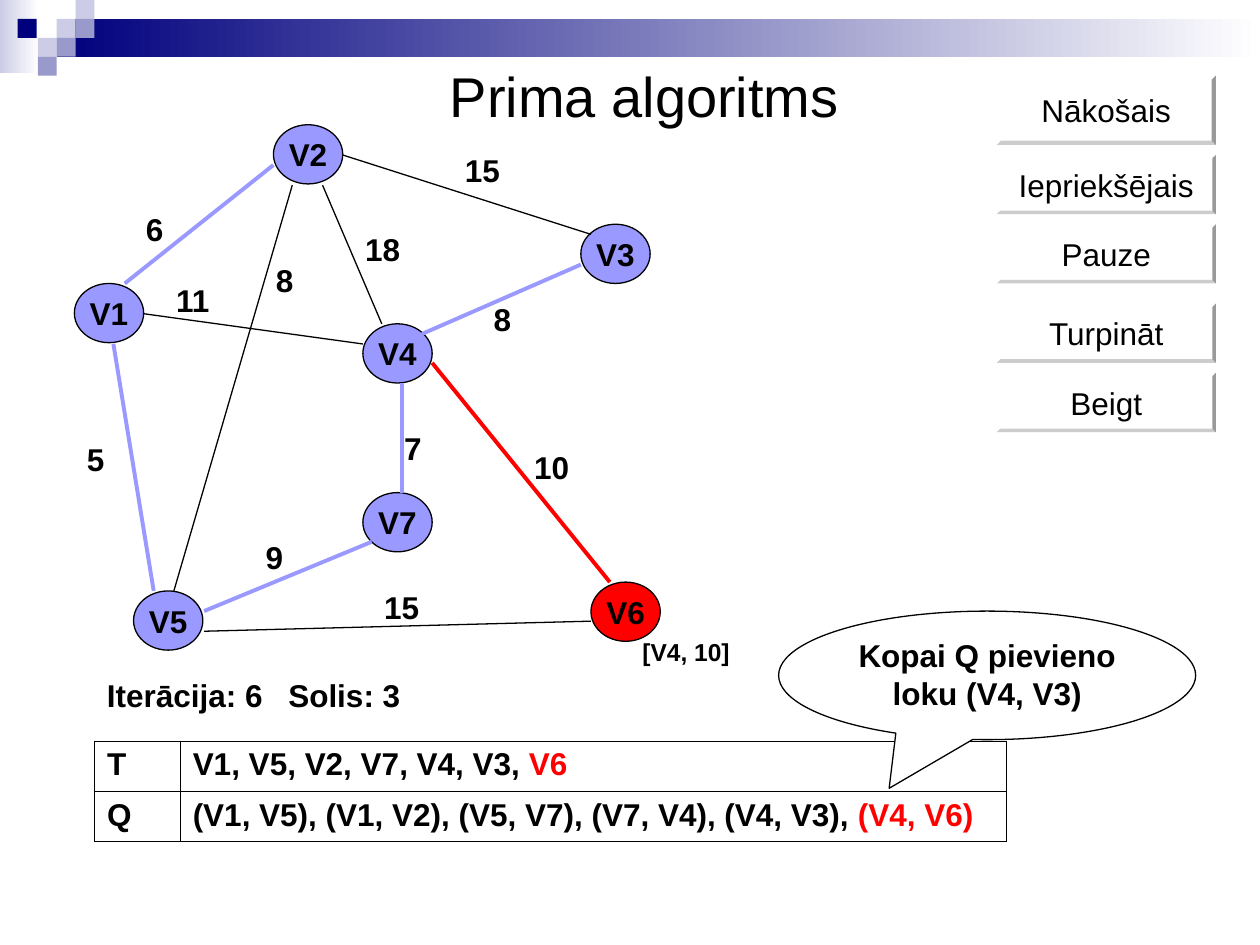
from typing import NamedTuple

import pptx
import pptx.dml.color
import pptx.enum.shapes
import pptx.enum.text
import pptx.oxml
import pptx.oxml.ns
import pptx.util
from pptx.util import Inches

BLACK, WHITE, RED = "000000", "FFFFFF", "FF0000"
NAVY, LAVENDER, SLATE, VIOLET = "00007D", "CCCCE6", "9999CC", "9999FF"
SHAPES = pptx.enum.shapes.MSO_SHAPE
CENTER = pptx.enum.text.PP_ALIGN.CENTER
LEFT = pptx.enum.text.PP_ALIGN.LEFT
MIDDLE = pptx.enum.text.MSO_ANCHOR.MIDDLE
NODE_SIZE = (0.55, 0.47)
TILE = 0.15


class Node(NamedTuple):
    name: str
    left: float
    top: float
    color: str = VIOLET


class Edge(NamedTuple):
    start: tuple[float, float]
    end: tuple[float, float]
    color: str = BLACK
    width: float = 0.75


class Label(NamedTuple):
    text: str
    left: float
    top: float
    width: float = 0.55
    height: float = 0.4
    size: float = 18
    bold: bool = True
    alignment: int = LEFT


class Button(NamedTuple):
    text: str
    top: float
    height: float = 0.47


TILES = [(0.45, 0.15, LAVENDER), (0.6, 0, LAVENDER), (0.6, 0.15, SLATE), (0.3, 0.3, LAVENDER),
         (0.14, 0.15, NAVY), (0.45, 0.3, SLATE), (0.3, 0.45, SLATE)]
NODES = [Node("V1", 0.59, 2.25), Node("V2", 2.17, 0.99), Node("V3", 4.61, 1.78),
         Node("V4", 2.88, 2.57), Node("V5", 1.06, 4.69), Node("V6", 4.69, 4.62, RED),
         Node("V7", 2.88, 3.91)]
EDGES = [
    Edge((0.99, 2.25), (2.17, 1.31), VIOLET, 2.25),
    Edge((2.32, 1.47), (1.38, 4.69)),
    Edge((2.56, 1.47), (3.03, 2.57)),
    Edge((2.72, 1.23), (4.69, 1.86)),
    Edge((1.14, 2.49), (2.88, 2.73)),
    Edge((0.9, 2.73), (1.22, 4.69), VIOLET, 2.25),
    Edge((3.35, 2.65), (4.61, 2.1), VIOLET, 2.25),
    Edge((3.19, 3.04), (3.19, 3.91), VIOLET, 2.25),
    Edge((1.62, 4.85), (2.95, 4.3), VIOLET, 2.25),
    Edge((1.62, 5.01), (4.69, 4.93)),
    Edge((3.43, 2.88), (4.84, 4.62), RED, 2.25),
]
HEADINGS = [Label("[V4, 10]", 5, 5.01, 0.98, 0.34, 14),
            Label("Iterācija: 6\tSolis: 3", 0.75, 5.32, 3.07),
            Label("Prima algoritms", 1.77, 0.44, 6.69, 0.64, 32, False, CENTER)]
WEIGHTS = [Label("6", 1.06, 1.62), Label("15", 3.59, 1.15), Label("8", 2.09, 2.02, 0.32),
           Label("18", 2.8, 1.78), Label("8", 3.82, 2.33, 0.32), Label("5", 0.59, 3.44),
           Label("9", 2.01, 4.22, 0.32), Label("7", 3.11, 3.36, 0.32),
           Label("15", 2.95, 4.62, 0.71), Label("10", 4.14, 3.51, 0.71), Label("11", 1.3, 2.18)]
BUTTONS = [Button("Nākošais", 0.6, 0.55), Button("Iepriekšējais", 1.23), Button("Pauze", 1.78),
           Button("Turpināt", 2.41), Button("Beigt", 2.96)]
TABLE_ROWS = [("T", "V1, V5, V2, V7, V4, V3, ", "V6"),
              ("Q", "(V1, V5), (V1, V2), (V5, V7), (V7, V4), (V4, V3), ", "(V4, V6)")]


def rgb(color: str) -> pptx.dml.color.RGBColor:
    return pptx.dml.color.RGBColor.from_string(color)


def add_run(paragraph, text: str, size: float = 18, bold: bool = True, color: str = BLACK) -> None:
    run = paragraph.add_run()
    run.text = text
    run.font.name = "Arial"
    run.font.size = pptx.util.Pt(size)
    run.font.bold = bold
    run.font.color.rgb = rgb(color)


def add_block(slide, kind, left: float, top: float, width: float, height: float,
              fill: str | None = None, outlined: bool = False):
    shape = slide.shapes.add_shape(kind, Inches(left), Inches(top), Inches(width), Inches(height))
    shape.shadow.inherit = False
    if fill:
        shape.fill.solid()
        shape.fill.fore_color.rgb = rgb(fill)
    if outlined:
        shape.line.color.rgb = rgb(BLACK)
        shape.line.width = pptx.util.Pt(0.75)
    else:
        shape.line.fill.background()
    return shape


def write_centered(shape, text: str, bold: bool = True, wrap: bool = False, anchor=MIDDLE) -> None:
    frame = shape.text_frame
    frame.word_wrap = wrap
    frame.vertical_anchor = anchor
    frame.paragraphs[0].alignment = CENTER
    add_run(frame.paragraphs[0], text, bold=bold)


def add_gradient(slide, left: float, top: float, width: float, height: float, color: str) -> None:
    """Add a bar that fades from the colour at the left to white."""
    fill = add_block(slide, SHAPES.RECTANGLE, left, top, width, height).fill
    fill.gradient()
    fill.gradient_angle = 0
    for stop, stop_color in zip(fill.gradient_stops, (color, WHITE)):
        stop.color.rgb = rgb(stop_color)


def add_header(slide) -> None:
    add_gradient(slide, 0, 0, 0.31, 0.58, LAVENDER)
    add_gradient(slide, 0.45, 0.15, 9.55, 0.3, NAVY)
    for left, top, color in TILES:
        add_block(slide, SHAPES.RECTANGLE, left, top, TILE, TILE, color)


def add_label(slide, label: Label) -> None:
    box = slide.shapes.add_textbox(Inches(label.left), Inches(label.top),
                                   Inches(label.width), Inches(label.height))
    box.text_frame.word_wrap = True
    paragraph = box.text_frame.paragraphs[0]
    paragraph.alignment = label.alignment
    if "\t" in label.text:
        properties = paragraph._p.get_or_add_pPr()
        properties.append(pptx.oxml.parse_xml(
            f'<a:tabLst {pptx.oxml.ns.nsdecls("a")}><a:tab pos="{Inches(1.44)}" algn="l"/></a:tabLst>'))
    add_run(paragraph, label.text, label.size, label.bold)


def add_node(slide, node: Node) -> None:
    shape = add_block(slide, SHAPES.OVAL, node.left, node.top, *NODE_SIZE, node.color, True)
    write_centered(shape, node.name)


def add_edge(slide, edge: Edge) -> None:
    points = [Inches(value) for value in (*edge.start, *edge.end)]
    line = slide.shapes.add_connector(pptx.enum.shapes.MSO_CONNECTOR.STRAIGHT, *points)
    line.line.color.rgb = rgb(edge.color)
    line.line.width = pptx.util.Pt(edge.width)
    line._element.spPr.append(
        pptx.oxml.parse_xml(f'<a:effectLst {pptx.oxml.ns.nsdecls("a")}/>'))


def add_button(slide, button: Button) -> None:
    shape = add_block(slide, SHAPES.BEVEL, 7.91, button.top, 1.74, button.height, WHITE)
    shape.adjustments[0] = 0.06
    write_centered(shape, button.text, bold=False)


def add_borders(cell) -> None:
    properties = cell._tc.get_or_add_tcPr()
    for position, side in enumerate(("lnL", "lnR", "lnT", "lnB")):
        properties.insert(position, pptx.oxml.parse_xml(
            f'<a:{side} {pptx.oxml.ns.nsdecls("a")} w="{pptx.util.Pt(0.45)}"><a:solidFill>'
            f'<a:srgbClr val="{BLACK}"/></a:solidFill></a:{side}>'))


def add_state_table(slide) -> None:
    table = slide.shapes.add_table(len(TABLE_ROWS), 2, Inches(0.75), Inches(5.88),
                                   Inches(7.24), Inches(0.8)).table
    table.first_row = table.horz_banding = False
    for column, width in zip(table.columns, (0.68, 6.56)):
        column.width = Inches(width)
    for row, (name, done, added) in zip(table.rows, TABLE_ROWS):
        for cell in row.cells:
            cell.fill.background()
            add_borders(cell)
        add_run(row.cells[0].text_frame.paragraphs[0], name)
        paragraph = row.cells[1].text_frame.paragraphs[0]
        add_run(paragraph, done)
        add_run(paragraph, added, color=RED)


def add_callout(slide) -> None:
    callout = add_block(slide, SHAPES.OVAL_CALLOUT, 6.18, 4.85, 3.31, 1.02, WHITE, True)
    callout.adjustments[0], callout.adjustments[1] = -0.235, 0.879
    write_centered(callout, "Kopai Q pievieno loku (V4, V3)", wrap=True,
                   anchor=pptx.enum.text.MSO_ANCHOR.TOP)


def main() -> None:
    presentation = pptx.Presentation()
    presentation.slide_width, presentation.slide_height = Inches(10), Inches(7.5)
    slide = presentation.slides.add_slide(presentation.slide_layouts[6])
    add_header(slide)
    for node in NODES:
        add_node(slide, node)
    for edge in EDGES:
        add_edge(slide, edge)
    for label in HEADINGS + WEIGHTS:
        add_label(slide, label)
    for button in BUTTONS:
        add_button(slide, button)
    add_state_table(slide)
    add_callout(slide)
    presentation.save("out.pptx")


if __name__ == "__main__":
    main()
